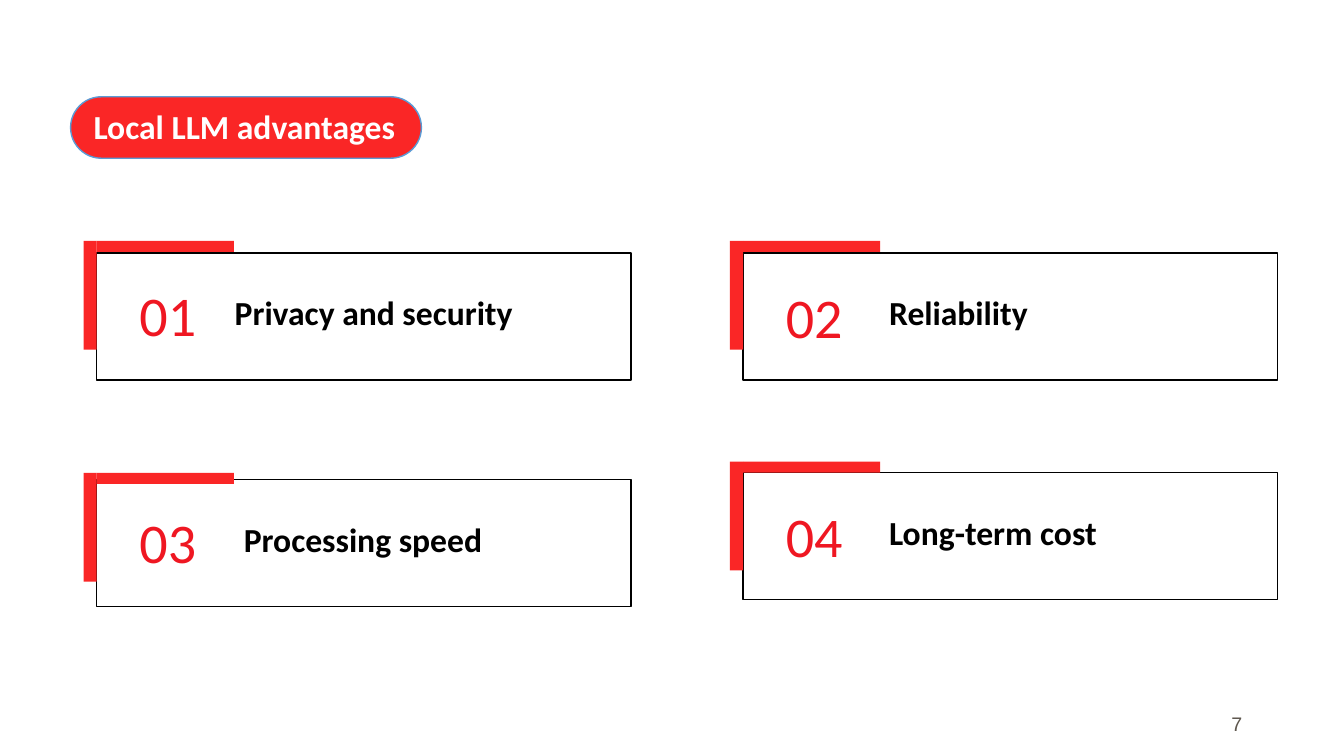
from pptx import Presentation
from pptx.dml.color import RGBColor
from pptx.enum import shapes, text
from pptx.util import Inches, Pt

RED = RGBColor(0xFA, 0x26, 0x26)
NUMBER_RED = RGBColor(0xEF, 0x17, 0x22)
BLUE = RGBColor(0x5B, 0x9B, 0xD5)
BLACK = RGBColor(0, 0, 0)
WHITE = RGBColor(0xFF, 0xFF, 0xFF)
GREY = RGBColor(0x5E, 0x57, 0x4E)

NUMBER = dict(name="Calibri", size=Pt(40))
HEADING = dict(name="Calibri", size=Pt(24), bold=True)
PAGE = dict(name="Arial", size=Pt(14))

# Number, label, box left and top, bracket rise, number drop, label indent
CARDS = [
    ("01", "Privacy and security", 0.96, 2.51, 0.12, 0.22, 1.27),
    ("02", "Reliability", 7.37, 2.51, 0.12, 0.24, 1.35),
    ("03", "Processing speed", 0.96, 4.76, 0.07, 0.23, 1.36),
    ("04", "Long-term cost", 7.37, 4.69, 0.11, 0.24, 1.35),
]


def add_box(slide, x, y, w, h, fill=None, line=None,
            kind=shapes.MSO_SHAPE.RECTANGLE):
    sp = slide.shapes.add_shape(kind, Inches(x), Inches(y), Inches(w), Inches(h))
    sp.shadow.inherit = False
    if fill is None:
        sp.fill.background()
    else:
        sp.fill.solid()
        sp.fill.fore_color.rgb = fill
    if line is None:
        sp.line.fill.background()
    else:
        sp.line.color.rgb = line
        sp.line.width = Pt(1)
    return sp


def add_text(slide, x, y, w, h, words, font, color,
             align=text.PP_ALIGN.LEFT, anchor=text.MSO_ANCHOR.TOP):
    tf = slide.shapes.add_textbox(Inches(x), Inches(y), Inches(w), Inches(h)).text_frame
    tf.word_wrap = True
    tf.vertical_anchor = anchor
    p = tf.paragraphs[0]
    p.alignment = align
    r = p.add_run()
    r.text = words
    for key, value in font.items():
        setattr(r.font, key, value)
    r.font.color.rgb = color


def add_title(slide, x, y, w, h):
    pill = add_box(slide, x, y, w, h, RED, BLUE, shapes.MSO_SHAPE.ROUNDED_RECTANGLE)
    pill.adjustments[0] = 0.5
    add_text(slide, x + 0.13, y + 0.04, 6.67, 0.5, "Local LLM advantages", HEADING, WHITE)


def add_card(slide, x, y, w, h, number, label, rise, drop, indent):
    # Outlined box
    add_box(slide, x, y, w, h, line=BLACK)
    # Corner bracket
    add_box(slide, x - 0.13, y - rise, 0.13, 1.08, RED)
    add_box(slide, x, y - rise, 1.36, 0.11, RED)
    # Number and label
    add_text(slide, x + 0.14, y + drop, 1.13, 0.77, number, NUMBER, NUMBER_RED,
             text.PP_ALIGN.CENTER)
    add_text(slide, x + indent, y + 0.34, 3.46, 0.5, label, HEADING, BLACK,
             text.PP_ALIGN.JUSTIFY)


def add_page_number(slide, x, y, w, h):
    add_text(slide, x, y, w, h, "7", PAGE, GREY,
             text.PP_ALIGN.RIGHT, text.MSO_ANCHOR.BOTTOM)


def main():
    prs = Presentation()
    prs.slide_width, prs.slide_height = Inches(13.33), Inches(7.5)
    slide = prs.slides.add_slide(prs.slide_layouts[6])
    for number, label, x, y, rise, drop, indent in CARDS:
        add_card(slide, x, y, 5.3, 1.26, number, label, rise, drop, indent)
    add_title(slide, 0.7, 0.96, 3.48, 0.61)
    add_page_number(slide, 9.42, 6.95, 3, 0.4)
    prs.save("out.pptx")


if __name__ == "__main__":
    main()
